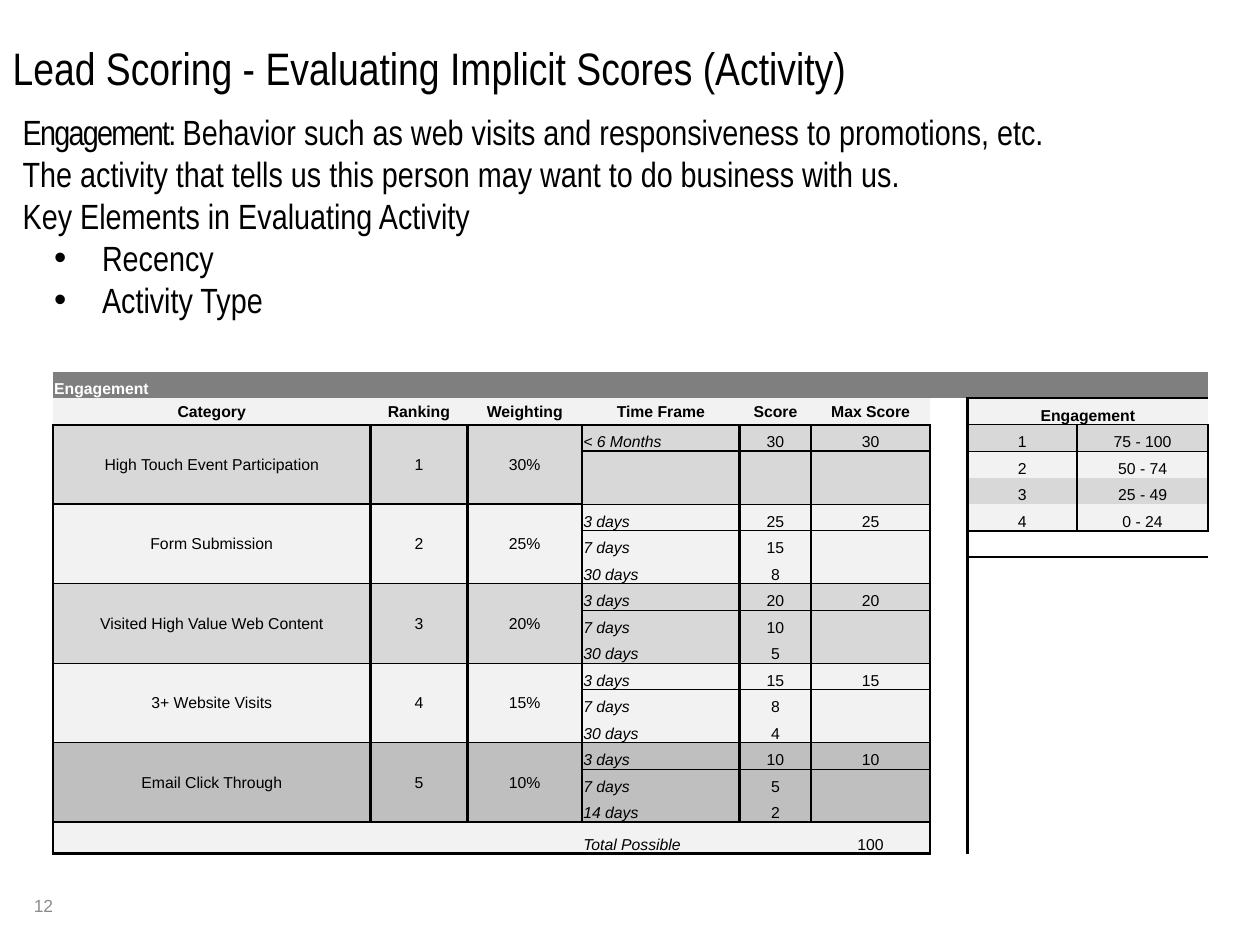
from collections import defaultdict

from lxml import etree
from pptx import Presentation
from pptx import util as u
from pptx.dml.color import RGBColor
from pptx.enum import text as t
from pptx.oxml.ns import qn

BLACK, WHITE, NUMBER_GRAY = "000000", "FFFFFF", "8C8C8C"
BANNER, LIGHT, MEDIUM, DARK = "7F7F7F", "F2F2F2", "D8D8D8", "BFBFBF"
THICK, THIN = 1.5, 0.5
NO_GRID_STYLE = "{2D5ABB26-0587-4C30-8999-92F81FD0307C}"
COLUMNS = [2.52, 0.77, 0.91, 1.25, 0.57, 0.94, 0.3, 0.87, 1.04]
ROW_COUNT, TOTAL_HEIGHT = 18, 0.25
ROW_HEIGHT = (3.83 - TOTAL_HEIGHT) / (ROW_COUNT - 1)
LAST_ROW = ROW_COUNT - 1

HEADERS = ["Category", "Ranking", "Weighting", "Time Frame", "Score", "Max Score"]
# Category, weighting, fill, (time frame, score) pairs; the first score is the maximum
CATEGORIES = [
    ("High Touch Event Participation", "30%", MEDIUM, [("< 6 Months", "30")]),
    ("Form Submission", "25%", LIGHT,
     [("3 days", "25"), ("7 days", "15"), ("30 days", "8")]),
    ("Visited High Value Web Content", "20%", MEDIUM,
     [("3 days", "20"), ("7 days", "10"), ("30 days", "5")]),
    ("3+ Website Visits", "15%", LIGHT,
     [("3 days", "15"), ("7 days", "8"), ("30 days", "4")]),
    ("Email Click Through", "10%", DARK,
     [("3 days", "10"), ("7 days", "5"), ("14 days", "2")]),
]
RANGES = ["75 - 100", "50 - 74", "25 - 49", "0 - 24"]


def rgb(value):
    return RGBColor.from_string(value)


def add_span(para, content, size=9, font="Arial", color=BLACK, bold=False,
             italic=False, spacing=None):
    span = para.add_run()
    span.text = content
    span.font.size = u.Pt(size)
    span.font.name = font
    span.font.color.rgb = rgb(color)
    span.font.bold = bold
    span.font.italic = italic
    if spacing is not None:
        span._r.get_or_add_rPr().set("spc", str(int(spacing * 100)))


def place(box, left, top, width, height, anchor=t.MSO_ANCHOR.TOP):
    box.left, box.top = u.Inches(left), u.Inches(top)
    box.width, box.height = u.Inches(width), u.Inches(height)
    frame = box.text_frame
    frame.word_wrap = True
    frame.auto_size = t.MSO_AUTO_SIZE.NONE
    frame.vertical_anchor = anchor
    return frame


def set_bullet(para, bulleted):
    properties = para._p.get_or_add_pPr()
    margin, hanging = (0.63, 0.38) if bulleted else (0, 0)
    properties.set("marL", str(u.Inches(margin)))
    properties.set("indent", str(-u.Inches(hanging)))
    if bulleted:
        etree.SubElement(properties, qn("a:buFont"), typeface="Arial")
        etree.SubElement(properties, qn("a:buChar"), char="•")
    else:
        etree.SubElement(properties, qn("a:buNone"))


def add_title(page):
    para = place(page.shapes.title, 0, 0.27, 10, 0.75).paragraphs[0]
    para.alignment = t.PP_ALIGN.LEFT
    add_span(para, "Lead Scoring - Evaluating Implicit Scores (Activity)",
             size=26, font="Arial Narrow")


def add_body(page):
    frame = place(page.placeholders[1], 0.08, 0.83, 9.83, 2.12)
    lines = [
        ([("Engagement: ", -1),
          ("Behavior such as web visits and responsiveness to promotions, etc.", 0)], False),
        ([("The activity that tells us this person may want to do business with us.", 0)], False),
        ([("Key Elements in Evaluating Activity", 0)], False),
        ([("Recency", 0)], True),
        ([("Activity Type", 0)], True),
    ]
    for index, (spans, bulleted) in enumerate(lines):
        para = frame.add_paragraph() if index else frame.paragraphs[0]
        para.level = int(bulleted)
        para.alignment = t.PP_ALIGN.LEFT
        para.line_spacing = 1.0
        para.space_before = para.space_after = u.Pt(0)
        set_bullet(para, bulleted)
        for content, spacing in spans:
            add_span(para, content, size=20, font="Arial Narrow", spacing=spacing)


class Grid:
    """Collects texts, fills and edges by cell, then draws each cell once."""

    def __init__(self, table):
        self.table = table
        self.texts, self.fills, self.edges = {}, {}, defaultdict(dict)

    def label(self, row, column, content, align=t.PP_ALIGN.CENTER,
              anchor=t.MSO_ANCHOR.BOTTOM, **style):
        self.texts[row, column] = (content, align, anchor, style)

    def merge(self, top, left, bottom, right):
        self.table.cell(top, left).merge(self.table.cell(bottom, right))

    def region(self, top, left, bottom, right, fill, **edges):
        """Fill a block; edges L, R, T, B are widths shared with the neighbours."""
        for row in range(top, bottom + 1):
            for column in range(left, right + 1):
                self.fills[row, column] = fill
                outer = {
                    "L": (column == left, (row, column - 1), "R"),
                    "R": (column == right, (row, column + 1), "L"),
                    "T": (row == top, (row - 1, column), "B"),
                    "B": (row == bottom, (row + 1, column), "T"),
                }
                for side, width in edges.items():
                    on_edge, neighbour, opposite = outer[side]
                    if on_edge:
                        self.edges[row, column][side] = width
                        self.edges[neighbour][opposite] = width

    def draw(self):
        for row in range(len(self.table.rows)):
            for column in range(len(self.table.columns)):
                self.draw_cell((row, column))

    def draw_cell(self, position):
        cell = self.table.cell(*position)
        cell.margin_left = cell.margin_right = cell.margin_top = u.Inches(0.01)
        cell.margin_bottom = 0
        properties = cell._tc.get_or_add_tcPr()
        for side in "LRTB":
            if side in self.edges[position]:
                width = u.Pt(self.edges[position][side])
                line = etree.SubElement(properties, qn("a:ln" + side), w=str(width))
                paint = etree.SubElement(line, qn("a:solidFill"))
                etree.SubElement(paint, qn("a:srgbClr"), val=BLACK)
        if position in self.fills:
            cell.fill.solid()
            cell.fill.fore_color.rgb = rgb(self.fills[position])
        para = cell.text_frame.paragraphs[0]
        if position in self.texts:
            content, para.alignment, cell.vertical_anchor, style = self.texts[position]
            add_span(para, content, **style)
        else:  # keeps an empty cell from stretching its row
            etree.SubElement(para._p, qn("a:endParaRPr"), sz="900")


def add_score_table(page):
    table = page.shapes.add_table(ROW_COUNT, len(COLUMNS), u.Inches(0.42), u.Inches(2.95),
                                  u.Inches(sum(COLUMNS)), u.Inches(3.83)).table
    table.first_row = table.horz_banding = False
    table._tbl.tblPr.find(qn("a:tableStyleId")).text = NO_GRID_STYLE
    for column, width in zip(table.columns, COLUMNS):
        column.width = u.Inches(width)
    for row in table.rows:
        row.height = u.Inches(ROW_HEIGHT)
    table.rows[LAST_ROW].height = u.Inches(TOTAL_HEIGHT)
    grid = Grid(table)
    left, middle = t.PP_ALIGN.LEFT, t.MSO_ANCHOR.MIDDLE

    # Banner and column headings
    grid.merge(0, 0, 0, 8)
    grid.region(0, 0, 0, 8, BANNER)
    grid.label(0, 0, "Engagement", align=left, bold=True, color=WHITE)
    grid.region(1, 0, 1, 5, LIGHT, B=THICK)
    for column, heading in enumerate(HEADERS):
        grid.label(1, column, heading, anchor=middle, bold=True)

    # Three rows for each category
    for index, (category, weighting, fill, scores) in enumerate(CATEGORIES):
        top = 2 + 3 * index
        upper = THIN if index else THICK
        lower = THICK if index == len(CATEGORIES) - 1 else THIN
        for column in range(6):
            grid.region(top, column, top + 2, column, fill,
                        L=THICK, R=THICK, T=upper, B=lower)
        for column, content in enumerate([category, str(index + 1), weighting]):
            grid.merge(top, column, top + 2, column)
            grid.label(top, column, content, anchor=middle)
        for row, (period, score) in enumerate(scores, top):
            grid.label(row, 3, period, align=left, italic=True)
            grid.label(row, 4, score)
        grid.label(top, 5, scores[0][1])

    # Total
    grid.region(LAST_ROW, 0, LAST_ROW, 5, LIGHT, L=THICK, R=THICK, T=THICK, B=THICK)
    grid.label(LAST_ROW, 3, "Total Possible", align=left, italic=True)
    grid.label(LAST_ROW, 5, "100")

    # Score ranges on the right
    grid.merge(1, 7, 1, 8)
    grid.region(1, 7, 1, 8, LIGHT, L=THICK, R=THICK, T=THICK, B=THIN)
    grid.label(1, 7, "Engagement", bold=True)
    for index, score_range in enumerate(RANGES):
        row = 2 + index
        bottom = {"B": THICK} if score_range == RANGES[-1] else {}
        grid.region(row, 7, row, 8, LIGHT if index % 2 else MEDIUM,
                    L=THICK, R=THICK, **bottom)
        grid.label(row, 7, str(index + 1))
        grid.label(row, 8, score_range)
    grid.draw()


def add_page_number(page):
    box = page.shapes.add_textbox(0, 0, 0, 0)
    frame = place(box, 0.17, 6.99, 0.54, 0.4, anchor=t.MSO_ANCHOR.MIDDLE)
    add_span(frame.paragraphs[0], "12", size=10, color=NUMBER_GRAY)


def main():
    deck = Presentation()
    deck.slide_width, deck.slide_height = u.Inches(10), u.Inches(7.5)
    page = deck.slides.add_slide(deck.slide_layouts[1])
    add_title(page)
    add_body(page)
    add_score_table(page)
    add_page_number(page)
    deck.save("out.pptx")


if __name__ == "__main__":
    main()
